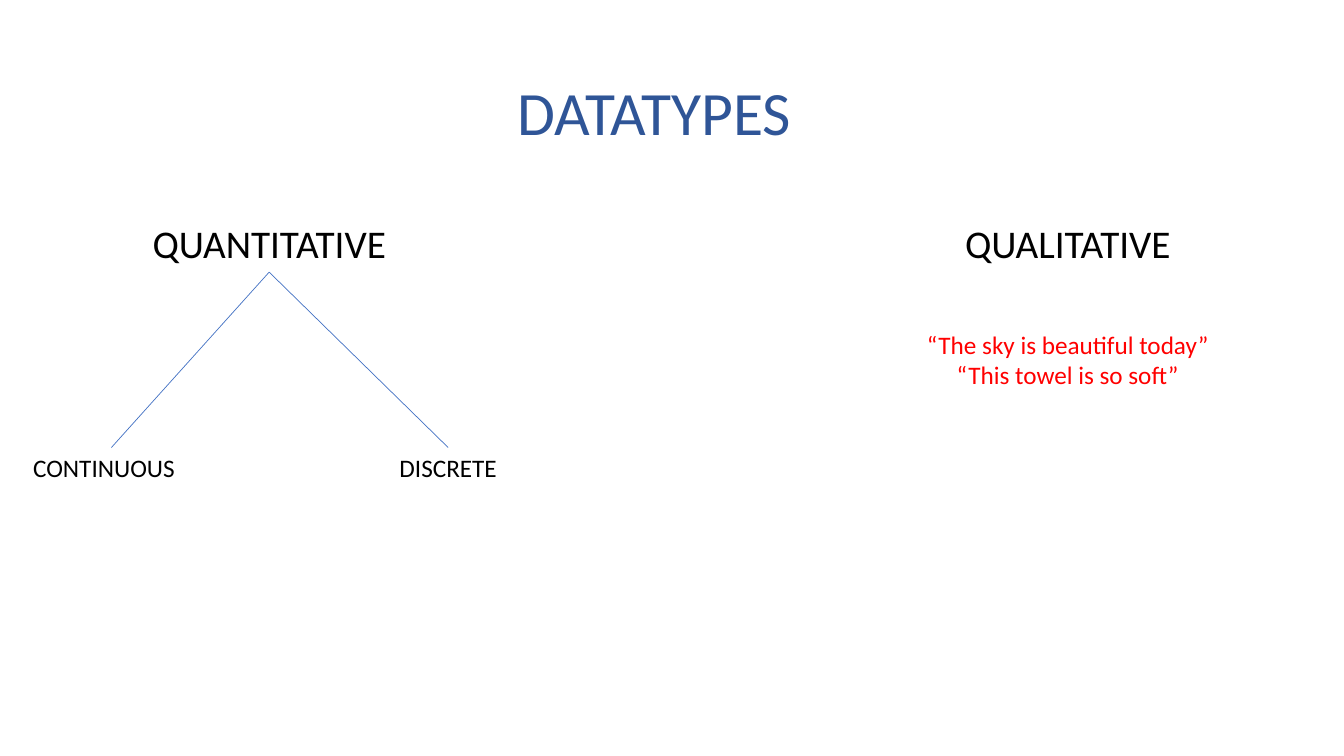
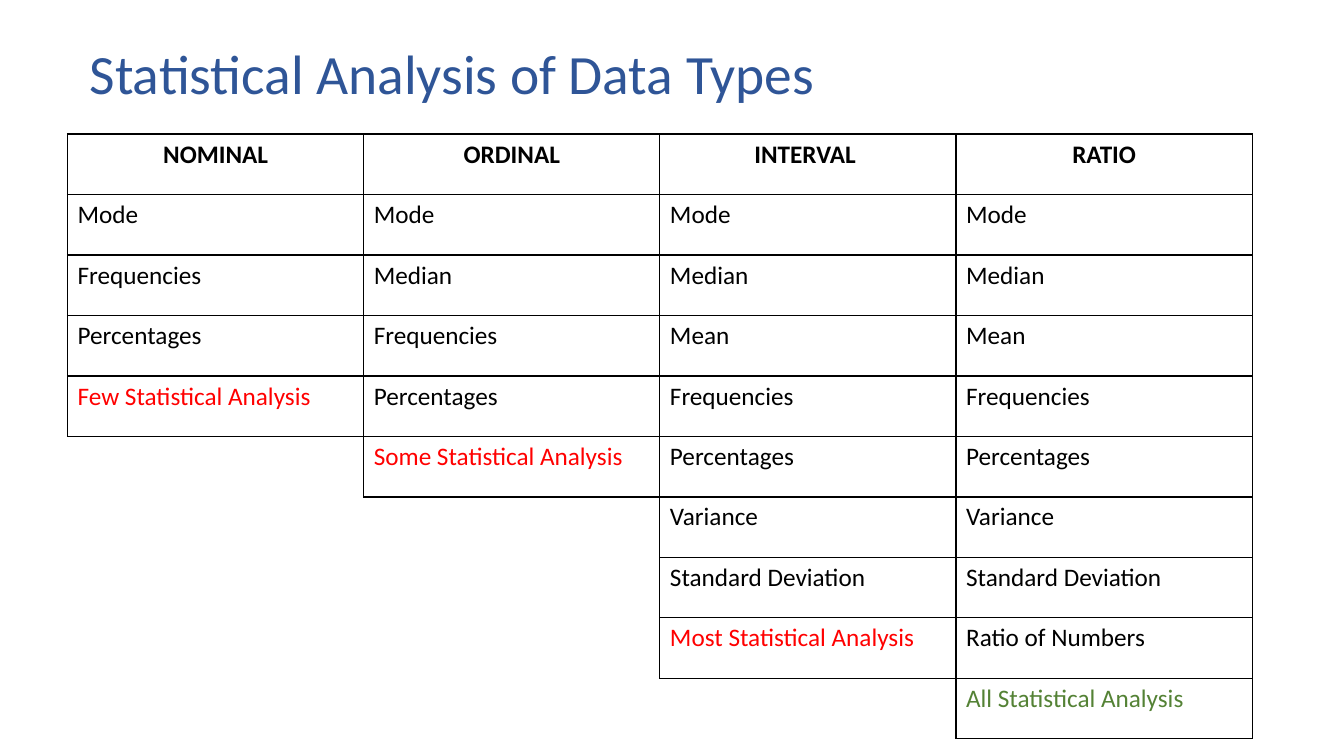
from itertools import zip_longest

from lxml.etree import SubElement
from pptx import Presentation
from pptx.dml.color import RGBColor
from pptx.enum.shapes import MSO_CONNECTOR
from pptx.enum.text import MSO_ANCHOR as Anchor, MSO_AUTO_SIZE as AutoSize, PP_ALIGN as Align
from pptx.oxml.ns import qn
from pptx.util import Inches, Pt

FONT = "Calibri"
BLACK, RED, GREEN = "000000", "FF0000", "548235"
TITLE_BLUE, LINE_BLUE = "2F5597", "4472C4"
TOP, LEFT, BOTTOM, RIGHT = range(4)

# One list per data type: heading, methods, verdict
ANALYSES = [
    ["NOMINAL", "Mode", "Frequencies", "Percentages", "Few Statistical Analysis"],
    ["ORDINAL", "Mode", "Median", "Frequencies", "Percentages",
     "Some Statistical Analysis"],
    ["INTERVAL ", "Mode", "Median", "Mean", "Frequencies", "Percentages",
     "Variance", "Standard Deviation", "Most Statistical Analysis"],
    ["RATIO", "Mode", "Median", "Mean", "Frequencies", "Percentages",
     "Variance", "Standard Deviation", "Ratio of Numbers",
     "All Statistical Analysis"],
]
VERDICT_COLORS = [RED, RED, RED, GREEN]


def color(code):
    return RGBColor.from_string(code)


def write(frame, text, size=18, ink=BLACK, bold=False, align=Align.LEFT, spacing=None):
    """Fill a text frame, one paragraph for each line of text."""
    for number, line in enumerate(text.split("\n")):
        para = frame.add_paragraph() if number else frame.paragraphs[0]
        para.alignment = align
        if spacing:
            para.line_spacing = spacing
        span = para.add_run()
        span.text = line
        span.font.name = FONT
        span.font.size = Pt(size)
        span.font.bold = bold
        span.font.color.rgb = color(ink)


def add_text(page, box, text, anchor=Anchor.TOP, **style):
    shape = page.shapes.add_textbox(*map(Inches, box))
    frame = shape.text_frame
    frame.word_wrap = True
    frame.auto_size = AutoSize.NONE
    frame.vertical_anchor = anchor
    write(frame, text, **style)
    return shape


def add_title(page, box, text, **style):
    return add_text(page, box, text, anchor=Anchor.MIDDLE, ink=TITLE_BLUE,
                    spacing=0.9, **style)


def add_branch(page, parent, child):
    """Join the bottom of the parent to the top of the child."""
    branch = page.shapes.add_connector(MSO_CONNECTOR.STRAIGHT, 0, 0, 0, 0)
    branch.begin_connect(parent, BOTTOM)
    branch.end_connect(child, TOP)
    branch.line.color.rgb = color(LINE_BLUE)
    branch.line.width = Pt(0.5)
    SubElement(branch._element.spPr, qn("a:effectLst"))


def add_quantitative(page, left, top):
    """Heading with two branches below it."""
    heading = add_text(page, (left + 1.06, top, 2.76, 0.57), "QUANTITATIVE",
                       size=28, align=Align.CENTER)
    for text, offset, width, align in (("CONTINUOUS", 0, 1.75, Align.LEFT),
                                       ("DISCRETE", 3.39, 1.65, Align.CENTER)):
        leaf = add_text(page, (left + offset, top + 2.31, width, 0.4), text, align=align)
        add_branch(page, heading, leaf)


def add_qualitative(page, left, top):
    """Heading with two sample sentences below it."""
    add_text(page, (left + 0.83, top, 2.92, 0.57), "QUALITATIVE",
             size=28, align=Align.CENTER)
    add_text(page, (left, top + 1.09, 4.58, 0.71),
             "“The sky is beautiful today”\n“This towel is so soft”",
             ink=RED, align=Align.CENTER)


def set_border(cell, side, visible):
    line = SubElement(cell._tc.get_or_add_tcPr(), qn(f"a:ln{side}"), w=str(Pt(1)))
    if visible:
        fill = SubElement(line, qn("a:solidFill"))
        SubElement(fill, qn("a:srgbClr"), val=BLACK)
    else:
        SubElement(line, qn("a:noFill"))


def add_stepped_table(page, box, columns, verdict_colors):
    """Columns of unequal length; only cells with text are framed."""
    rows = list(zip_longest(*columns))
    table = page.shapes.add_table(len(rows), len(columns), *map(Inches, box)).table
    table.first_row = table.horz_banding = False

    def has_text(row, column):
        return 0 <= column < len(columns) and 0 <= row < len(columns[column])

    for r, row in enumerate(rows):
        for c, text in enumerate(row):
            cell = table.cell(r, c)
            # An edge shows when the cell on either side of it has text
            for side, neighbour in (("L", (r, c - 1)), ("R", (r, c + 1)),
                                    ("T", (r - 1, c)), ("B", (r + 1, c))):
                set_border(cell, side, has_text(r, c) or has_text(*neighbour))
            cell.fill.background()
            if text:
                is_verdict = r == len(columns[c]) - 1
                write(cell.text_frame, text, bold=r == 0,
                      ink=verdict_colors[c] if is_verdict else BLACK,
                      align=Align.LEFT if r else Align.CENTER)


def build_datatypes(page):
    add_title(page, (0.74, 0.42, 11.5, 1.45), "DATATYPES", size=44, align=Align.CENTER)
    add_quantitative(page, 0.23, 2.13)
    add_qualitative(page, 8.3, 2.13)


def build_analysis(page):
    add_title(page, (0.79, 0.4, 8.75, 0.71), "Statistical Analysis of Data Types", size=39.6)
    add_stepped_table(page, (0.67, 1.33, 11.75, 6), ANALYSES, VERDICT_COLORS)


def main():
    deck = Presentation()
    deck.slide_width, deck.slide_height = Inches(13.33), Inches(7.5)
    for build in (build_datatypes, build_analysis):
        build(deck.slides.add_slide(deck.slide_layouts[6]))
    deck.save("out.pptx")


if __name__ == "__main__":
    main()
